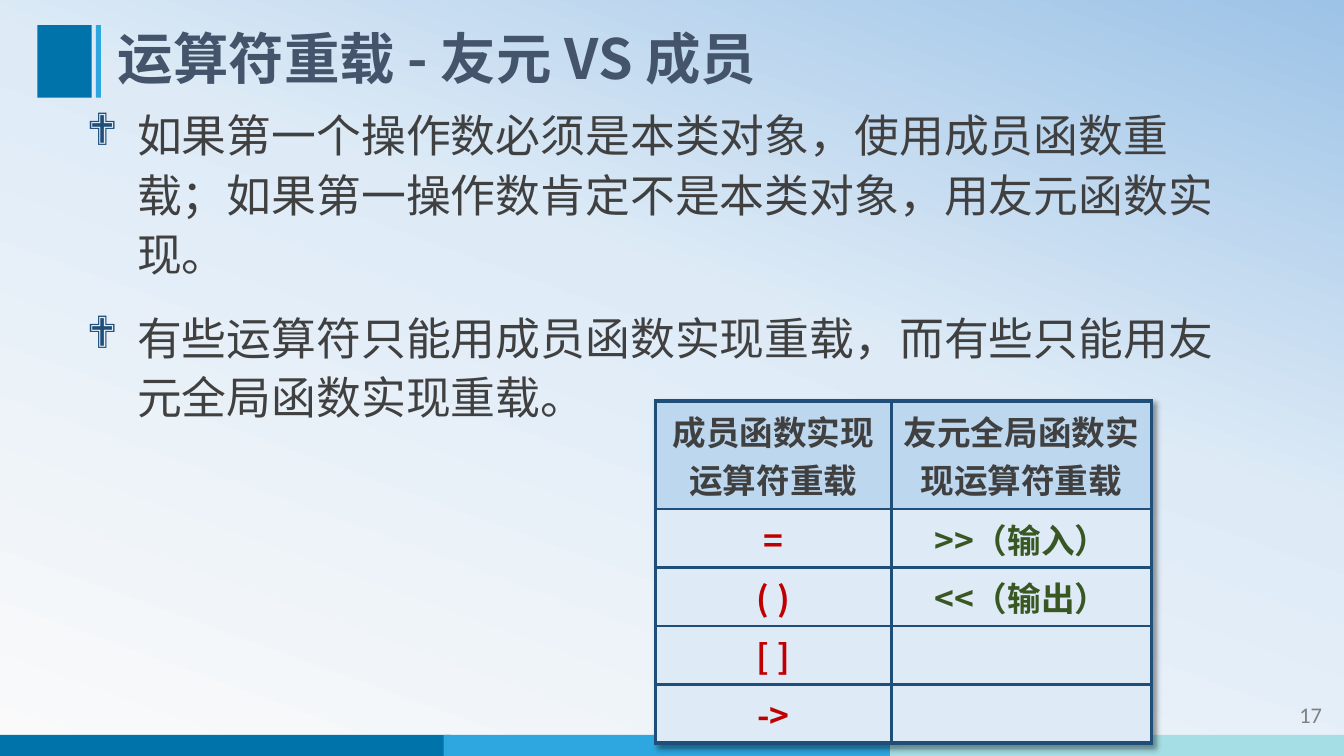
from pptx import Presentation
from pptx import util as u
from pptx.dml.color import RGBColor
from pptx.enum import shapes, text
from pptx.oxml import parse_xml
from pptx.oxml.ns import nsdecls

DEEP_BLUE = RGBColor(0x00, 0x73, 0xAB)
SKY_BLUE = RGBColor(0x2E, 0xA7, 0xE0)
PALE_TEAL = RGBColor(0xA5, 0xDE, 0xE4)
SLATE = RGBColor(0x44, 0x54, 0x6A)
NAVY = RGBColor(0x1F, 0x4E, 0x79)
DARK = RGBColor(0x40, 0x40, 0x40)
GRAY = RGBColor(0x80, 0x80, 0x80)
RED = RGBColor(0xC0, 0x00, 0x00)
GREEN = RGBColor(0x38, 0x57, 0x23)
HEADER_FILL = RGBColor(0xBD, 0xD7, 0xEE)
CELL_FILL = RGBColor(0xDE, 0xEB, 0xF7)
BG_STOPS = [(0, RGBColor(0xFA, 0xFA, 0xFA)), (58, CELL_FILL),
            (100, RGBColor(0x9D, 0xC3, 0xE6))]

CJK = "Noto Sans CJK SC"
TITLE = "运算符重载 - 友元 VS 成员"
POINTS = [
    "如果第一个操作数必须是本类对象，使用成员函数重载；如果第一操作数肯定不是本类对象，用友元函数实现。",
    "有些运算符只能用成员函数实现重载，而有些只能用友元全局函数实现重载。",
]
ROWS = [
    ("成员函数实现运算符重载", "友元全局函数实现运算符重载"),
    ("=", ">>（输入）"),
    ("( )", "<<（输出）"),
    ("[ ]", ""),
    ("->", ""),
]


def xml(tag, attrs="", inner=""):
    return parse_xml(f"<{tag} {nsdecls('a', 'p')} {attrs}>{inner}</{tag}>")


def solid(color):
    return f'<a:solidFill><a:srgbClr val="{color}"/></a:solidFill>'


def apply(obj, **values):
    for name, value in values.items():
        setattr(obj, name, value)


def place(sp, left, top, width, height):
    apply(sp, left=u.Inches(left), top=u.Inches(top),
          width=u.Inches(width), height=u.Inches(height))


def add_run(p, content, size, color, bold=False, name=CJK):
    r = p.add_run()
    r.text = content
    apply(r.font, size=u.Pt(size), bold=bold, name=name)
    r.font.color.rgb = color
    r.font._element.append(xml("a:ea", f'typeface="{name}"'))


def set_background(s):
    stops = "".join(f'<a:gs pos="{pos * 1000}"><a:srgbClr val="{color}"/></a:gs>'
                    for pos, color in BG_STOPS)
    fill = (f'<a:gradFill rotWithShape="1"><a:gsLst>{stops}</a:gsLst>'
            f'<a:lin ang="{290 * 60000}" scaled="0"/></a:gradFill><a:effectLst/>')
    s._element.cSld.insert(0, xml("p:bg", inner=f"<p:bgPr>{fill}</p:bgPr>"))


def add_bar(s, box, color):
    sp = s.shapes.add_shape(shapes.MSO_SHAPE.RECTANGLE, *map(u.Inches, box))
    sp.shadow.inherit = False
    sp.fill.solid()
    sp.fill.fore_color.rgb = color
    sp.line.fill.background()


def add_title(s):
    sp = s.shapes.title
    place(sp, 1.07, 0.25, 10.86, 0.72)
    tf = sp.text_frame
    apply(tf, vertical_anchor=text.MSO_ANCHOR.MIDDLE, word_wrap=True,
          auto_size=text.MSO_AUTO_SIZE.NONE)
    p = tf.paragraphs[0]
    apply(p, alignment=text.PP_ALIGN.LEFT, line_spacing=0.9)
    add_run(p, TITLE, 39.6, SLATE, True)


def add_points(s):
    sp = s.placeholders[1]
    place(sp, 0.64, 0.97, 11.79, 3.56)
    tf = sp.text_frame
    apply(tf, word_wrap=True, auto_size=text.MSO_AUTO_SIZE.NONE,
          vertical_anchor=text.MSO_ANCHOR.TOP)
    for i, point in enumerate(POINTS):
        p = tf.add_paragraph() if i else tf.paragraphs[0]
        pPr = p._p.get_or_add_pPr()
        pPr.set("marL", str(u.Inches(0.62)))
        pPr.set("indent", str(u.Inches(-0.5)))
        pPr.set("hangingPunct", "0")
        pPr.append(xml("a:buClr", inner=f'<a:srgbClr val="{NAVY}"/>'))
        pPr.append(xml("a:buFont", 'typeface="Wingdings" charset="2"'))
        pPr.append(xml("a:buChar", 'char="❖"'))
        apply(p, alignment=text.PP_ALIGN.LEFT, line_spacing=1.1,
              space_before=u.Pt(18 if i else 0))
        add_run(p, point, 32, DARK)


def add_page_number(s):
    sp = s.shapes.add_textbox(*map(u.Inches, (11.62, 6.89, 1.59, 0.4)))
    tf = sp.text_frame
    apply(tf, word_wrap=True, vertical_anchor=text.MSO_ANCHOR.MIDDLE)
    p = tf.paragraphs[0]
    p.alignment = text.PP_ALIGN.RIGHT
    add_run(p, "17", 16, GRAY, name="Calibri")


def set_borders(cell, outer):
    tcPr = cell._tc.get_or_add_tcPr()
    for i, (side, is_outer) in enumerate(outer.items()):
        width = u.Pt(3 if is_outer else 2.25)
        tcPr.insert(i, xml(f"a:ln{side}", f'w="{width}"', solid(NAVY)))


def add_operator_table(s):
    frame = s.shapes.add_table(len(ROWS), 2, *map(u.Inches, (6.5, 3.98, 4.92, 3.38)))
    table = frame.table
    apply(table, first_row=False, horz_banding=False)
    table._tbl.tblPr.insert(0, xml("a:effectLst", inner=(
        '<a:outerShdw blurRad="50800" dist="38100" dir="2700000" algn="tl">'
        '<a:srgbClr val="000000"><a:alpha val="40000"/></a:srgbClr></a:outerShdw>')))
    for column, width in zip(table.columns, (2.34, 2.58)):
        column.width = u.Inches(width)
    last = len(ROWS) - 1
    for i, labels in enumerate(ROWS):
        table.rows[i].height = u.Inches(0.58 if i else 1.07)
        for j, label in enumerate(labels):
            cell = table.cell(i, j)
            cell.fill.solid()
            cell.fill.fore_color.rgb = CELL_FILL if i else HEADER_FILL
            set_borders(cell, {"L": j == 0, "R": j == 1, "T": i == 0, "B": i == last})
            p = cell.text_frame.paragraphs[0]
            p.alignment = text.PP_ALIGN.CENTER
            if label:
                add_run(p, label, 24, (RED, GREEN)[j] if i else DARK, True)


def main():
    prs = Presentation()
    apply(prs, slide_width=u.Inches(13.33), slide_height=u.Inches(7.5))
    s = prs.slides.add_slide(prs.slide_layouts[1])
    set_background(s)
    for left, color in ((-0.03, DEEP_BLUE), (4.4, SKY_BLUE), (8.83, PALE_TEAL)):
        add_bar(s, (left, 7.29, 4.5, 0.21), color)
    add_bar(s, (0.37, 0.25, 0.54, 0.72), DEEP_BLUE)
    add_bar(s, (0.95, 0.25, 0.05, 0.72), SKY_BLUE)
    add_page_number(s)
    add_title(s)
    add_points(s)
    add_operator_table(s)
    prs.save("out.pptx")


if __name__ == "__main__":
    main()
